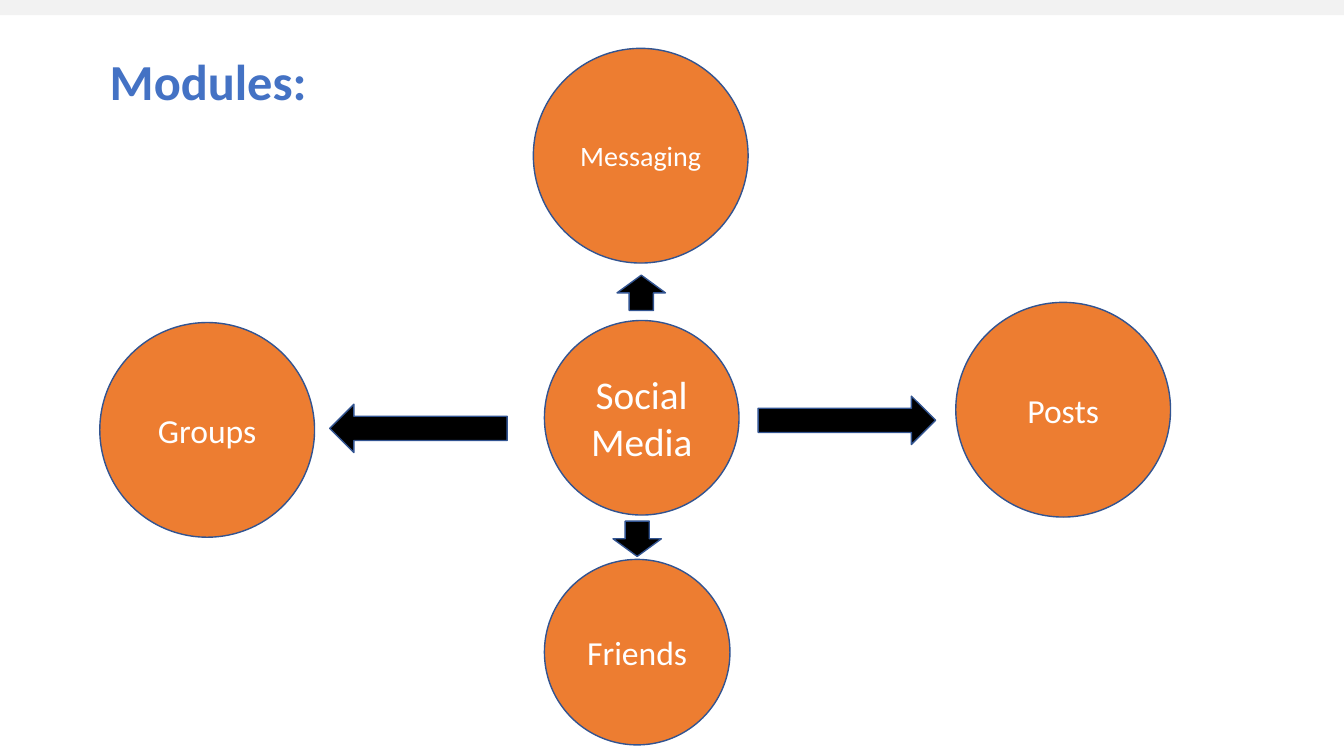
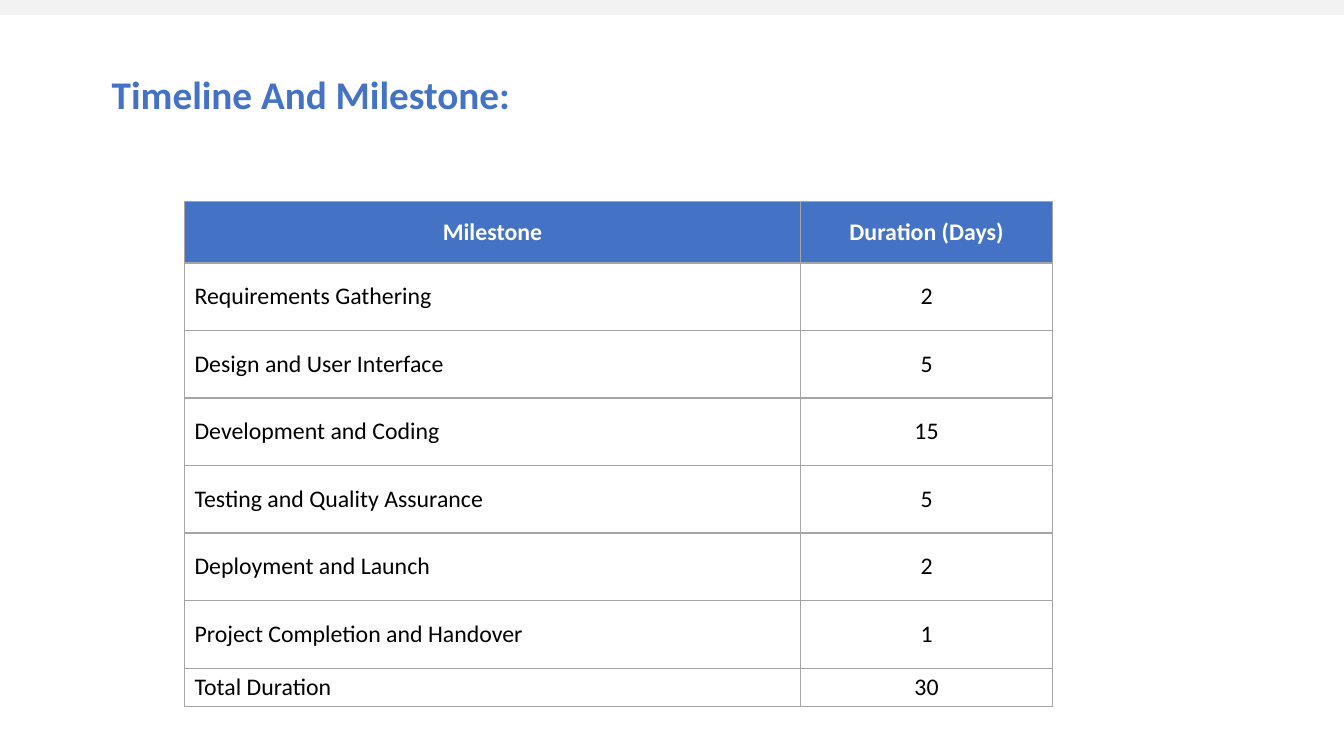
from lxml import etree
from pptx import Presentation
from pptx.dml.color import RGBColor
from pptx.enum.shapes import MSO_SHAPE
from pptx.enum.text import MSO_ANCHOR, PP_ALIGN
from pptx.oxml.ns import qn
from pptx.util import Inches, Pt

RECTANGLE = MSO_SHAPE.RECTANGLE
CIRCLE = MSO_SHAPE.OVAL
ARROW = MSO_SHAPE.DOWN_ARROW
LEFT = PP_ALIGN.LEFT
CENTER = PP_ALIGN.CENTER
MIDDLE = MSO_ANCHOR.MIDDLE

FONT = "Calibri"
BLUE = "4472C4"
ORANGE = "ED7D31"
OUTLINE = "325491"
BAND = "F2F2F2"
BORDER = "A5A5A5"
WHITE = "FFFFFF"
BLACK = "000000"

SLIDE_WIDTH, SLIDE_HEIGHT = 13.33, 7.5
ARROW_WIDTH = 0.48

MODULES = [
    ("Groups", 0.99, 3.2, 2.13, 24),
    ("Social Media", 5.4, 3.18, 1.93, 28),
    ("Posts", 9.48, 3, 2.13, 24),
    ("Messaging", 5.29, 0.48, 2.13, 20),
    ("Friends", 5.4, 5.55, 1.84, 24),
]
ARROWS = [
    (3.91, 3.37, 1.76, 90),
    (8.16, 3.29, 1.76, 270),
    (6.12, 2.73, 0.35, 180),
    (6.08, 5.17, 0.35, 0),
]
MILESTONES = [
    ("Milestone", "Duration (Days)"),
    ("Requirements Gathering", "2"),
    ("Design and User Interface", "5"),
    ("Development and Coding", "15"),
    ("Testing and Quality Assurance", "5"),
    ("Deployment and Launch", "2"),
    ("Project Completion and Handover", "1"),
    ("Total Duration", "30"),
]
COLUMN_WIDTHS = [6.11, 2.5]
ROW_HEIGHTS = [0.61] + [0.67] * 6 + [0.38]


def color(value):
    """Turn a hex string into a colour."""
    return RGBColor.from_string(value)


def write(text_frame, text, size, text_color, bold=False, alignment=LEFT):
    """Fill a text frame with one styled paragraph."""
    text_frame.text = text
    paragraph = text_frame.paragraphs[0]
    paragraph.alignment = alignment
    font = paragraph.runs[0].font
    font.name = FONT
    font.size = Pt(size)
    font.bold = bold
    font.color.rgb = color(text_color)


def add_block(slide, kind, left, top, width, height, fill, outline=None):
    """Add a filled preset shape, outlined on request."""
    shape = slide.shapes.add_shape(
        kind, Inches(left), Inches(top), Inches(width), Inches(height))
    shape.shadow.inherit = False
    shape.fill.solid()
    shape.fill.fore_color.rgb = color(fill)
    if outline:
        shape.line.color.rgb = color(outline)
        shape.line.width = Pt(1)
    else:
        shape.line.fill.background()
    return shape


def add_titled_slide(presentation, title, left, top, width, height, size):
    """Add a blank slide with the top band and a title."""
    slide = presentation.slides.add_slide(presentation.slide_layouts[6])
    add_block(slide, RECTANGLE, 0, 0, SLIDE_WIDTH, 0.15, BAND)
    box = slide.shapes.add_textbox(
        Inches(left), Inches(top), Inches(width), Inches(height))
    box.text_frame.word_wrap = True
    write(box.text_frame, title, size, BLUE, bold=True)
    return slide


def add_module(slide, name, left, top, diameter, size):
    """Add a labelled module circle."""
    circle = add_block(
        slide, CIRCLE, left, top, diameter, diameter, ORANGE, OUTLINE)
    circle.text_frame.vertical_anchor = MIDDLE
    write(circle.text_frame, name, size, WHITE, alignment=CENTER)


def add_arrow(slide, left, top, length, rotation):
    """Add a block arrow turned clockwise from pointing down."""
    arrow = add_block(
        slide, ARROW, left, top, ARROW_WIDTH, length, BLACK, OUTLINE)
    arrow.rotation = rotation


def set_borders(cell):
    """Draw a thin line on every side of a cell."""
    properties = cell._tc.get_or_add_tcPr()
    for side in ("a:lnL", "a:lnR", "a:lnT", "a:lnB"):
        line = etree.SubElement(properties, qn(side), w=str(Pt(1)))
        fill = etree.SubElement(line, qn("a:solidFill"))
        etree.SubElement(fill, qn("a:srgbClr"), val=BORDER)


def style_cell(cell, text, is_header, alignment):
    """Write a table cell with its borders and fill."""
    set_borders(cell)
    cell.vertical_anchor = MIDDLE
    if is_header:
        cell.fill.solid()
        cell.fill.fore_color.rgb = color(BLUE)
    else:
        cell.fill.background()
    write(cell.text_frame, text, 17, WHITE if is_header else BLACK,
          is_header, alignment)


def add_milestone_table(slide, left, top):
    """Add the table of milestones and durations."""
    table = slide.shapes.add_table(
        len(MILESTONES), len(COLUMN_WIDTHS), Inches(left), Inches(top),
        Inches(sum(COLUMN_WIDTHS)), Inches(sum(ROW_HEIGHTS))).table
    table.horz_banding = False
    for column, width in zip(table.columns, COLUMN_WIDTHS):
        column.width = Inches(width)
    for row_index, (row, texts) in enumerate(zip(table.rows, MILESTONES)):
        row.height = Inches(ROW_HEIGHTS[row_index])
        is_header = row_index == 0
        for column_index, text in enumerate(texts):
            alignment = CENTER if is_header or column_index else LEFT
            style_cell(row.cells[column_index], text, is_header, alignment)


def build_modules(presentation):
    """Build the slide of modules around the centre."""
    slide = add_titled_slide(
        presentation, "Modules:", 0.99, 0.45, 2.53, 0.71, 36)
    for module in MODULES:
        add_module(slide, *module)
    for arrow in ARROWS:
        add_arrow(slide, *arrow)


def build_timeline(presentation):
    """Build the slide with the milestone table."""
    slide = add_titled_slide(
        presentation, "Timeline And Milestone:", 1.01, 0.65, 4.2, 0.57, 28)
    add_milestone_table(slide, 1.83, 2)


def main():
    """Build and save the presentation."""
    presentation = Presentation()
    presentation.slide_width = Inches(SLIDE_WIDTH)
    presentation.slide_height = Inches(SLIDE_HEIGHT)
    build_modules(presentation)
    build_timeline(presentation)
    presentation.save("out.pptx")


if __name__ == "__main__":
    main()
